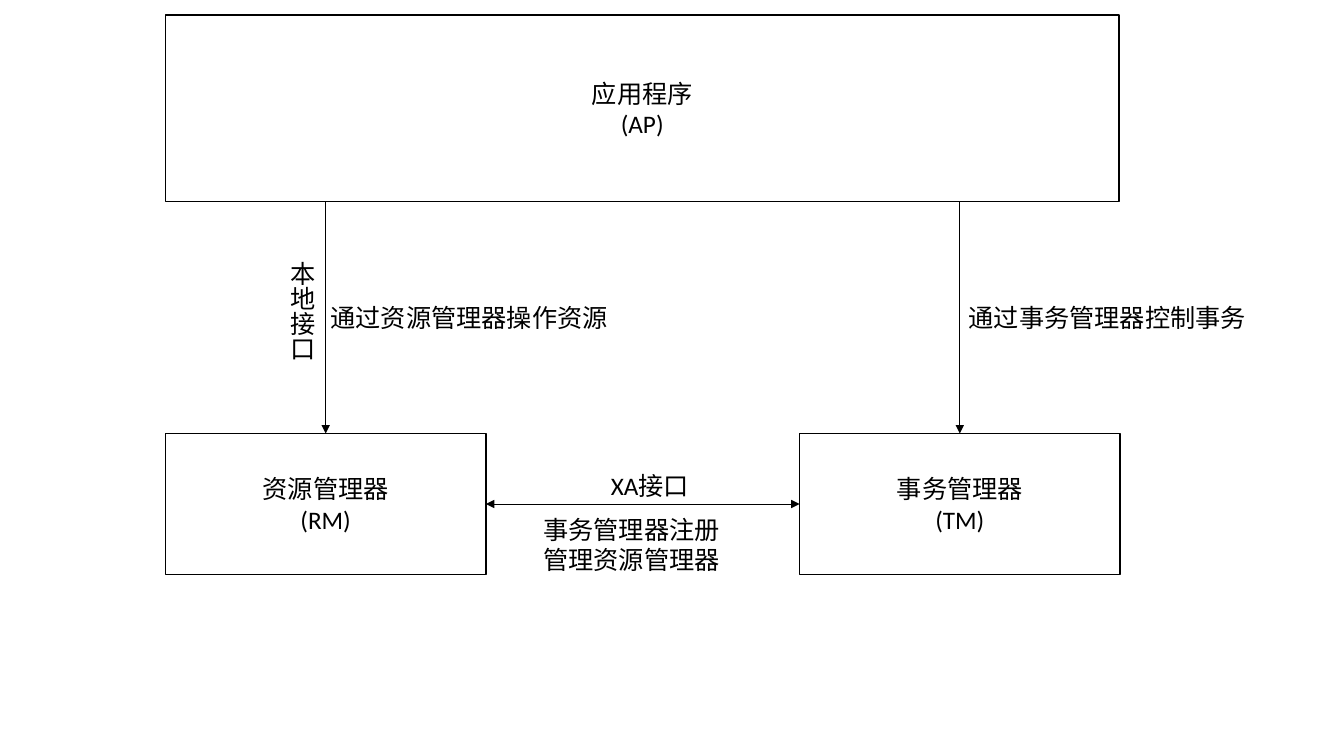
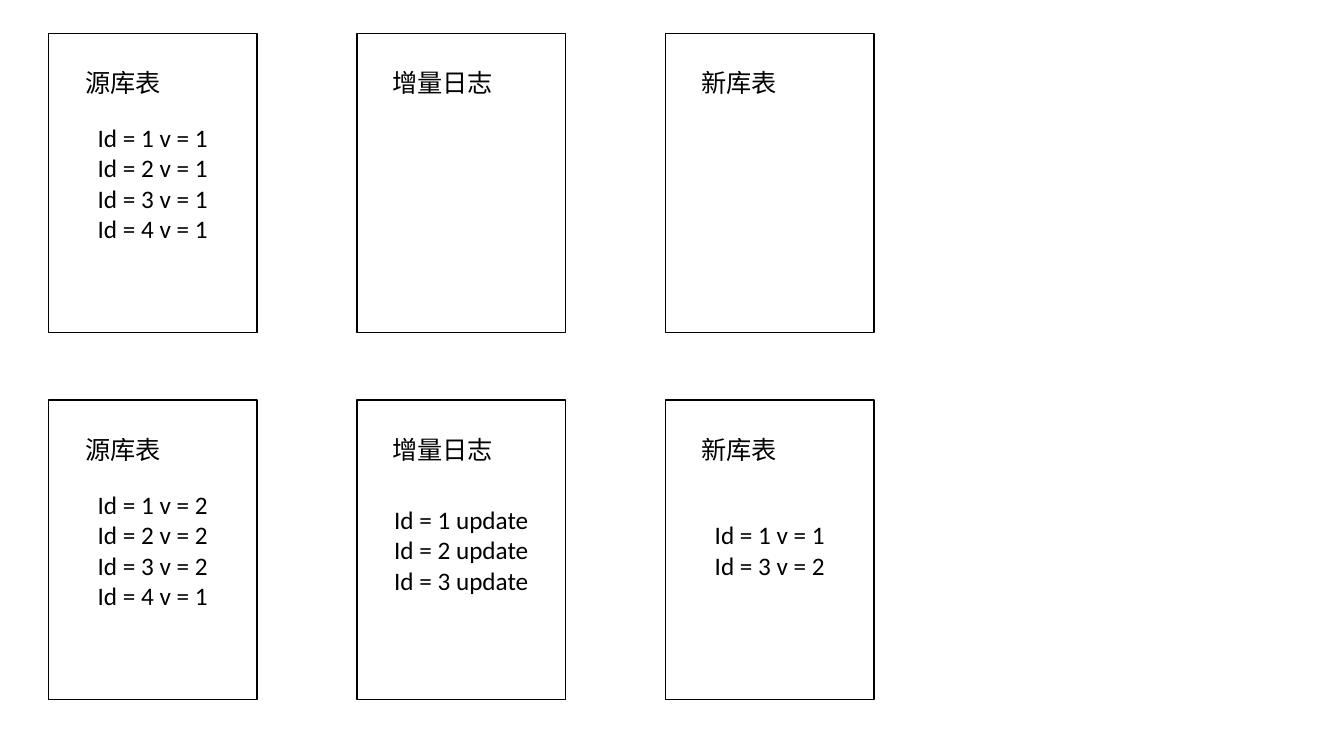
from dataclasses import dataclass

from pptx import Presentation
from pptx.dml.color import RGBColor
from pptx.enum.shapes import MSO_CONNECTOR, MSO_SHAPE
from pptx.enum.text import MSO_ANCHOR, MSO_AUTO_SIZE, PP_ALIGN
from pptx.oxml.ns import qn
from pptx.shapes.autoshape import Shape
from pptx.shapes.connector import Connector
from pptx.slide import Slide
from pptx.text.text import TextFrame
from pptx.util import Inches, Pt
from lxml import etree

RECTANGLE = MSO_SHAPE.RECTANGLE
STRAIGHT = MSO_CONNECTOR.STRAIGHT
MIDDLE = MSO_ANCHOR.MIDDLE
CENTER = PP_ALIGN.CENTER
LEFT = PP_ALIGN.LEFT
GROW = MSO_AUTO_SIZE.SHAPE_TO_FIT_TEXT
BLANK_LAYOUT = 6
TOP_SITE, LEFT_SITE, RIGHT_SITE = 0, 1, 3

INK = "000000"
PAPER = "FFFFFF"
FONT = "Calibri"
TEXT_SIZE = 18
BOX_LINE = 1
ARROW_LINE = 0.5
LABEL_HEIGHT = 0.4


@dataclass(frozen=True)
class Block:
    left: float
    top: float
    width: float
    height: float
    lines: tuple[str, ...] = ()


@dataclass(frozen=True)
class Label:
    left: float
    top: float
    width: float
    text: str
    height: float = LABEL_HEIGHT
    vertical: bool = False


@dataclass(frozen=True)
class Column:
    title: str
    title_left: float


def color(value: str) -> RGBColor:
    return RGBColor.from_string(value)


def write_lines(frame: TextFrame, lines: tuple[str, ...], alignment: PP_ALIGN) -> None:
    frame.word_wrap = True
    for index, line in enumerate(lines):
        para = frame.add_paragraph() if index else frame.paragraphs[0]
        para.alignment = alignment
        span = para.add_run()
        span.text = line
        span.font.name = FONT
        span.font.size = Pt(TEXT_SIZE)
        span.font.color.rgb = color(INK)


def draw_block(page: Slide, block: Block) -> Shape:
    box = page.shapes.add_shape(
        RECTANGLE, Inches(block.left), Inches(block.top),
        Inches(block.width), Inches(block.height),
    )
    box.shadow.inherit = False
    box.fill.solid()
    box.fill.fore_color.rgb = color(PAPER)
    box.line.color.rgb = color(INK)
    box.line.width = Pt(BOX_LINE)
    box.text_frame.vertical_anchor = MIDDLE
    write_lines(box.text_frame, block.lines, CENTER)
    return box


def draw_label(page: Slide, label: Label) -> None:
    box = page.shapes.add_textbox(
        Inches(label.left), Inches(label.top), Inches(label.width), Inches(label.height)
    )
    write_lines(box.text_frame, (label.text,), LEFT)
    box.text_frame.auto_size = GROW
    if label.vertical:
        box.text_frame._txBody.bodyPr.set("vert", "eaVert")


def draw_arrow(
    page: Slide, start: tuple[float, float], end: tuple[float, float], both_ends: bool = False
) -> Connector:
    arrow = page.shapes.add_connector(
        STRAIGHT, Inches(start[0]), Inches(start[1]), Inches(end[0]), Inches(end[1])
    )
    arrow.line.color.rgb = color(INK)
    arrow.line.width = Pt(ARROW_LINE)
    properties = arrow._element.spPr
    outline = properties.find(qn("a:ln"))
    for tag in ("a:headEnd", "a:tailEnd") if both_ends else ("a:tailEnd",):
        etree.SubElement(outline, qn(tag)).set("type", "triangle")
    etree.SubElement(properties, qn("a:effectLst"))
    return arrow


def build_transaction_model(page: Slide) -> None:
    application = Block(1.64, 0.15, 9.46, 1.85, ("应用程序", "(AP)"))
    resource = Block(1.64, 4.3, 3.18, 1.4, ("资源管理器", "(RM)"))
    transaction = Block(7.93, 4.3, 3.18, 1.4, ("事务管理器", "(TM)"))
    draw_block(page, application)
    managers = [(block, draw_block(page, block)) for block in (resource, transaction)]

    middle = resource.top + resource.height / 2
    xa_arrow = draw_arrow(
        page, (resource.left + resource.width, middle), (transaction.left, middle), both_ends=True
    )
    xa_arrow.begin_connect(managers[0][1], RIGHT_SITE)
    xa_arrow.end_connect(managers[1][1], LEFT_SITE)

    application_bottom = application.top + application.height
    for block, box in managers:
        center = block.left + block.width / 2
        arrow = draw_arrow(page, (center, application_bottom), (center, block.top))
        arrow.end_connect(box, TOP_SITE)

    labels = (
        Label(3.18, 2.95, 3.19, "通过资源管理器操作资源"),
        Label(9.51, 2.95, 3.19, "通过事务管理器控制事务"),
        Label(2.7, 2.49, 0.5, "本地接口", height=1.21, vertical=True),
        Label(5.96, 4.62, 1.61, "XA接口"),
        Label(5.29, 5.05, 2.16, "事务管理器注册管理资源管理器", height=0.71),
    )
    for label in labels:
        draw_label(page, label)


def build_table_migration(page: Slide) -> None:
    first_left, column_step = 0.48, 3.06
    first_top, row_step = 0.33, 3.64
    card_width, card_height = 2.07, 2.97
    title_offset, title_width = 0.285, 1.57
    columns = (Column("源库表", 0.75), Column("增量日志", 3.79), Column("新库表", 6.86))
    stages = (
        (("Id = 1 v = 1", "Id = 2 v = 1", "Id = 3 v = 1", "Id = 4 v = 1"), (), ()),
        (
            ("Id = 1 v = 2", "Id = 2 v = 2", "Id = 3 v = 2", "Id = 4 v = 1"),
            ("Id = 1 update", "Id = 2 update", "Id = 3 update"),
            ("Id = 1 v = 1", "Id = 3 v = 2"),
        ),
    )
    for row, stage in enumerate(stages):
        top = first_top + row * row_step
        for index, (column, records) in enumerate(zip(columns, stage)):
            left = first_left + index * column_step
            draw_block(page, Block(left, top, card_width, card_height, records))
            draw_label(page, Label(column.title_left, top + title_offset, title_width, column.title))


def main() -> None:
    deck = Presentation()
    deck.slide_width = Inches(13.33)
    deck.slide_height = Inches(7.5)
    for build in (build_transaction_model, build_table_migration):
        build(deck.slides.add_slide(deck.slide_layouts[BLANK_LAYOUT]))
    deck.save("out.pptx")


main()
